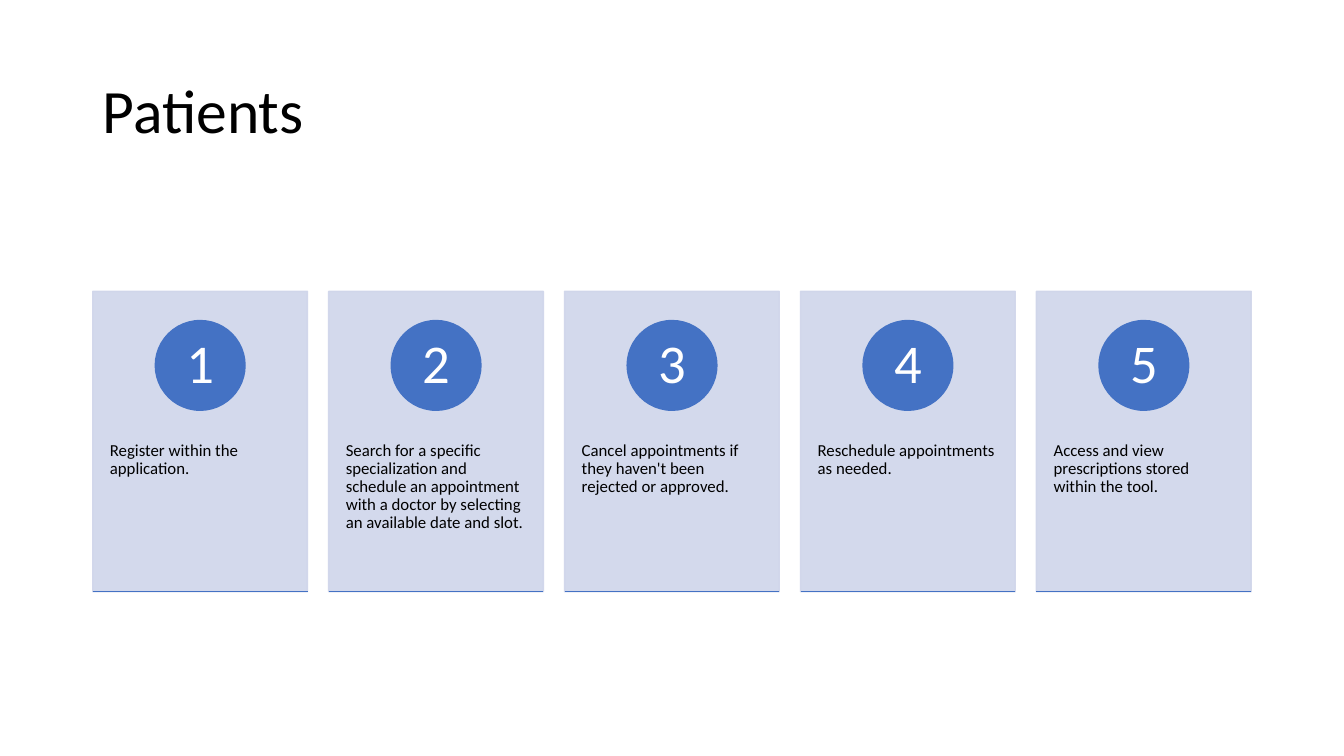
from lxml import etree
from pptx import Presentation
from pptx.dml.color import RGBColor
from pptx.enum.shapes import MSO_CONNECTOR, MSO_SHAPE
from pptx.enum.text import MSO_ANCHOR, PP_ALIGN
from pptx.oxml.ns import qn
from pptx.util import Pt

RECT, OVAL = MSO_SHAPE.RECTANGLE, MSO_SHAPE.OVAL
STRAIGHT = MSO_CONNECTOR.STRAIGHT
TOP, MIDDLE = MSO_ANCHOR.TOP, MSO_ANCHOR.MIDDLE
LEFT, CENTER = PP_ALIGN.LEFT, PP_ALIGN.CENTER

PX = 9144  # EMU per px, 100 px to the inch
THEME = {
    "font": "Calibri",
    "text": RGBColor(0x00, 0x00, 0x00),
    "number": RGBColor(0xFF, 0xFF, 0xFF),
    "card": RGBColor(0xCF, 0xD5, 0xEA),
    "accent": RGBColor(0x44, 0x72, 0xC4),
    "title_size": 44,
    "number_size": 39,
    "body_size": 12,
}


def add_text(shape, text, size, color, align, anchor, insets):
    tf = shape.text_frame
    tf.word_wrap = True
    tf.vertical_anchor = anchor
    tf.margin_left, tf.margin_top, tf.margin_right, tf.margin_bottom = [
        v * PX for v in insets]
    p = tf.paragraphs[0]
    p.alignment = align
    p.line_spacing = 0.9
    r = p.add_run()
    r.text = text
    r.font.name = THEME["font"]
    r.font.size = Pt(size)
    r.font.color.rgb = color


def add_block(kind, x, y, w, h, color):
    shape = s.shapes.add_shape(kind, x * PX, y * PX, w * PX, h * PX)
    shape.shadow.inherit = False
    shape.fill.solid()
    shape.fill.fore_color.rgb = color
    shape.line.color.rgb = color
    shape.line.width = Pt(1)
    return shape


prs = Presentation()
prs.slide_width, prs.slide_height = 1333 * PX, 750 * PX
s = prs.slides.add_slide(prs.slide_layouts[6])

# Title
title = s.shapes.add_textbox(92 * PX, 40 * PX, 1150 * PX, 145 * PX)
add_text(title, "Patients", THEME["title_size"], THEME["text"],
         LEFT, MIDDLE, (10, 5, 10, 5))

# Numbered step cards
STEPS = [
    "Register within the application.",
    "Search for a specific specialization and schedule an appointment "
    "with a doctor by selecting an available date and slot.",
    "Cancel appointments if they haven't been rejected or approved.",
    "Reschedule appointments as needed.",
    "Access and view prescriptions stored within the tool.",
]
CARD_X, CARD_Y, CARD_W, CARD_H, PITCH = 92, 289, 213, 298, 234
CIRCLE_Y, CIRCLE = 318, 89

for i, step in enumerate(STEPS):
    x = CARD_X + i * PITCH

    # Card, slightly transparent, with the step text below the circle
    card = add_block(RECT, x, CARD_Y, CARD_W, CARD_H, THEME["card"])
    for clr in card._element.spPr.iter(qn("a:srgbClr")):
        etree.SubElement(clr, qn("a:alpha")).set("val", "90000")
    add_text(card, step, THEME["body_size"], THEME["text"],
             LEFT, TOP, (17, 149, 17, 36))

    # Number circle
    circle = add_block(OVAL, x + (CARD_W - CIRCLE) // 2, CIRCLE_Y,
                       CIRCLE, CIRCLE, THEME["accent"])
    add_text(circle, str(i + 1), THEME["number_size"], THEME["number"],
             CENTER, MIDDLE, (7, 1, 7, 1))

    # Base line
    base_y = (CARD_Y + CARD_H) * PX
    base = s.shapes.add_connector(STRAIGHT, x * PX, base_y,
                                  (x + CARD_W) * PX, base_y)
    base.line.color.rgb = THEME["accent"]
    base.line.width = Pt(1)
    etree.SubElement(base._element.spPr, qn("a:effectLst"))

prs.save("out.pptx")
